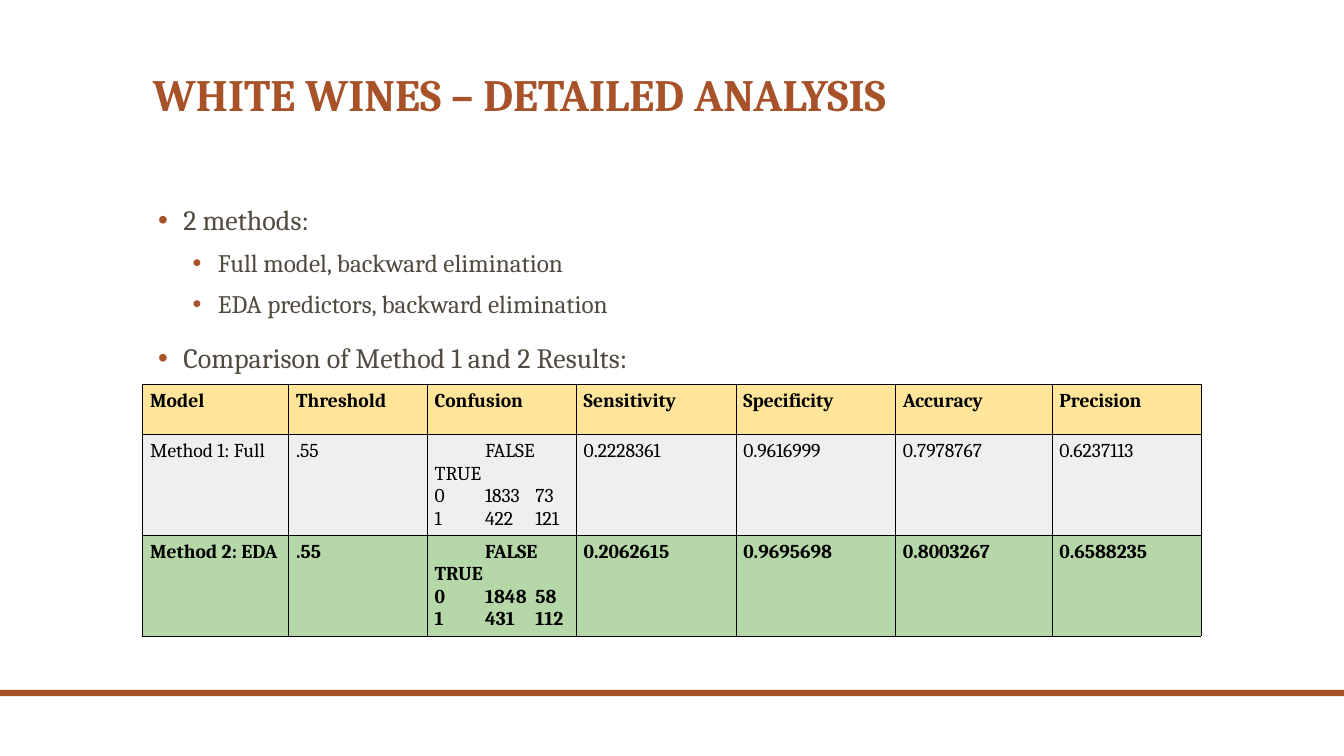
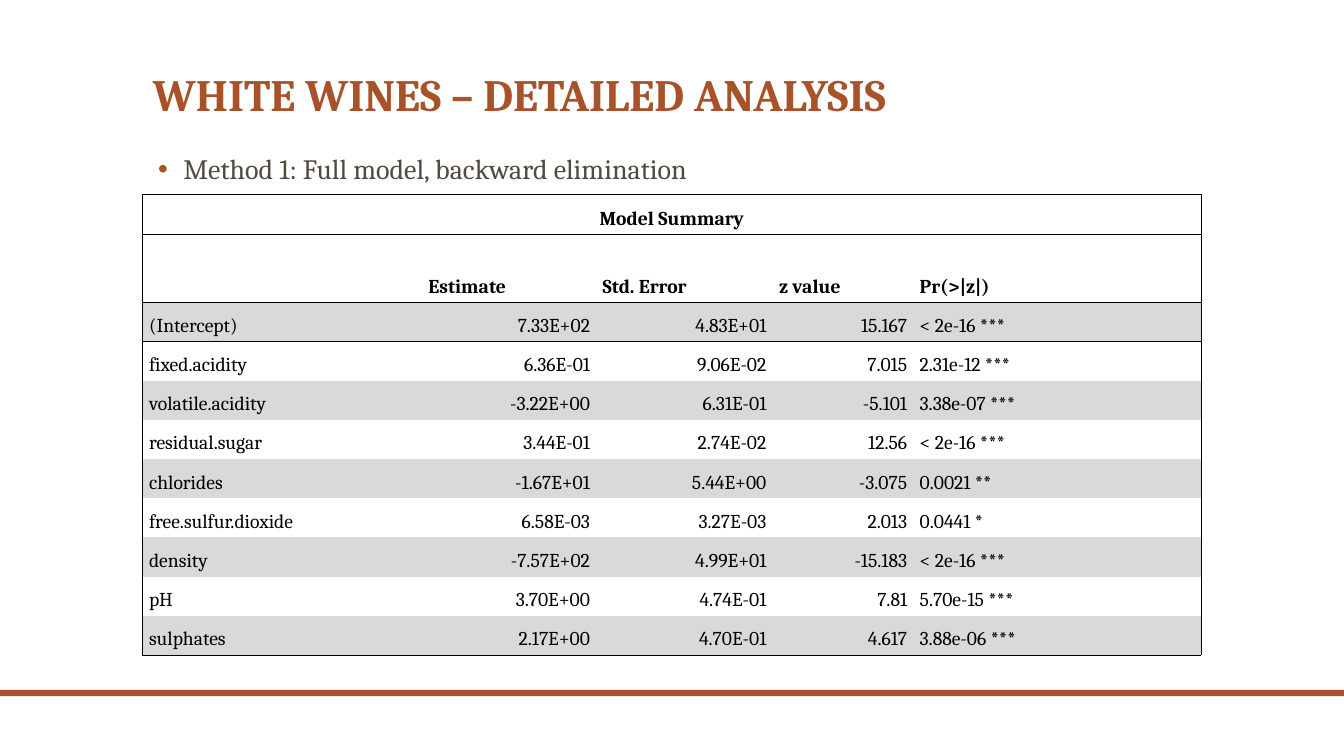
from pptx import Presentation
from pptx.dml.color import RGBColor
from pptx.enum.shapes import MSO_SHAPE
from pptx.enum.text import MSO_ANCHOR, MSO_AUTO_SIZE, PP_ALIGN
from pptx.oxml import parse_xml
from pptx.oxml.ns import nsdecls, qn
from pptx.util import Emu, Pt

FONT = "Cambria"
RUST, BROWN, BLACK = "A85229", "514A40", "000000"
YELLOW, PALE_GRAY, GREEN, GRAY = "FFE599", "EFEFEF", "B6D7A8", "D9D9D9"
NO_STYLE = "{2D5ABB26-0587-4C30-8999-92F81FD0307C}"

SLIDE_WIDTH, SLIDE_HEIGHT = 1280, 720
LEFT, WIDTH = 136, 1008
TITLE = "WHITE WINES – DETAILED ANALYSIS"

# Per bullet level: text size, indent, space before
LEVELS = [(20, 29, 18), (18, 62, 10)]
HANGING = 24

METHOD_BULLETS = [
    (0, "2 methods:"),
    (1, "Full model, backward elimination"),
    (1, "EDA predictors, backward elimination"),
    (0, "Comparison of Method 1 and 2 Results:"),
]
SUMMARY_BULLETS = [(0, "Method 1: Full model, backward elimination")]

COMPARISON = [
    ["Model", "Threshold", "Confusion", "Sensitivity", "Specificity", "Accuracy", "Precision"],
    ["Method 1: Full", ".55", "\tFALSE TRUE\n0\t1833\t73\n1\t422\t121",
     "0.2228361", "0.9616999", "0.7978767", "0.6237113"],
    ["Method 2: EDA", ".55", "\tFALSE TRUE\n0\t1848\t58\n1\t431\t112",
     "0.2062615", "0.9695698", "0.8003267", "0.6588235"],
]
COMPARISON_COLUMNS = [139, 132, 142, 152, 152, 149, 142]
COMPARISON_ROWS = [48, 94, 94]
COMPARISON_FILLS = [YELLOW, PALE_GRAY, GREEN]
CONFUSION_STOPS = [(17,), (22, 69), (20, 55)]

SUMMARY = [
    ["Model Summary", "", "", "", ""],
    ["", "Estimate", "Std. Error", "z value", "Pr(>|z|)"],
    ["(Intercept)", "7.33E+02", "4.83E+01", "15.167", "< 2e-16 ***"],
    ["fixed.acidity", "6.36E-01", "9.06E-02", "7.015", "2.31e-12 ***"],
    ["volatile.acidity", "-3.22E+00", "6.31E-01", "-5.101", "3.38e-07 ***"],
    ["residual.sugar", "3.44E-01", "2.74E-02", "12.56", "< 2e-16 ***"],
    ["chlorides", "-1.67E+01", "5.44E+00", "-3.075", "0.0021 **"],
    ["free.sulfur.dioxide", "6.58E-03", "3.27E-03", "2.013", "0.0441 *"],
    ["density", "-7.57E+02", "4.99E+01", "-15.183", "< 2e-16 ***"],
    ["pH", "3.70E+00", "4.74E-01", "7.81", "5.70e-15 ***"],
    ["sulphates", "2.17E+00", "4.70E-01", "4.617", "3.88e-06 ***"],
]
SUMMARY_COLUMNS = [258, 174, 168, 134, 274]
SUMMARY_HEADER_ROWS = [38, 65]
SUMMARY_BODY_HEIGHT = 336
ESTIMATE_INDENT = 8


def px(value):
    return Emu(round(value * 9525))


def color(value):
    return RGBColor.from_string(value)


def place(shape, left, top, width, height):
    shape.left, shape.top = px(left), px(top)
    shape.width, shape.height = px(width), px(height)


def write(paragraph, text, *, size=14, ink=BLACK, bold=False, align=PP_ALIGN.LEFT,
          line_spacing=1, space_before=0, indent=0, bullet=None, stops=()):
    properties = paragraph._p.get_or_add_pPr()
    properties.set("marL", str(px(indent)))
    properties.set("indent", str(px(-HANGING if bullet else 0)))
    if bullet:
        properties.append(parse_xml(
            f'<a:buClr {nsdecls("a")}><a:srgbClr val="{RUST}"/></a:buClr>'))
        properties.append(parse_xml(f'<a:buChar {nsdecls("a")} char="{bullet}"/>'))
    if stops:
        tabs = "".join(f'<a:tab pos="{px(stop)}" algn="l"/>' for stop in stops)
        properties.append(parse_xml(f'<a:tabLst {nsdecls("a")}>{tabs}</a:tabLst>'))
    paragraph.alignment = align
    paragraph.line_spacing = line_spacing
    paragraph.space_before = Pt(space_before)
    run = paragraph.add_run()
    run.text = text
    run.font.name, run.font.size, run.font.bold = FONT, Pt(size), bold
    run.font.color.rgb = color(ink)


def next_paragraph(frame, index):
    return frame.add_paragraph() if index else frame.paragraphs[0]


def add_content_slide(presentation, bullets, body_top, body_height):
    slide = presentation.slides.add_slide(presentation.slide_layouts[1])
    title, body = slide.placeholders
    place(title, LEFT, 0, WIDTH, 120)
    place(body, LEFT, body_top, WIDTH, body_height)
    for shape in (title, body):
        shape.text_frame.auto_size = MSO_AUTO_SIZE.NONE
    title.text_frame.vertical_anchor = MSO_ANCHOR.BOTTOM
    write(title.text_frame.paragraphs[0], TITLE, size=32, ink=RUST, bold=True, line_spacing=0.9)
    for index, (level, text) in enumerate(bullets):
        size, indent, space = LEVELS[level]
        paragraph = next_paragraph(body.text_frame, index)
        paragraph.level = level
        write(paragraph, text, size=size, ink=BROWN, line_spacing=0.9, indent=indent,
              space_before=space if index else 0, bullet="•")
    return slide


def add_plain_table(slide, top, columns, rows):
    table = slide.shapes.add_table(len(rows), len(columns), px(LEFT), px(top),
                                   px(sum(columns)), px(sum(rows))).table
    table._tbl.tblPr.find(qn("a:tableStyleId")).text = NO_STYLE
    table.first_row = table.horz_banding = False
    for column, width in zip(table.columns, columns):
        column.width = px(width)
    for row, height in zip(table.rows, rows):
        row.height = px(height)
    return table


def format_cell(cell, fill, sides, margins, anchor):
    """Set fill, insets, anchor and the borders named in sides, such as "LT"."""
    if fill:
        cell.fill.solid()
        cell.fill.fore_color.rgb = color(fill)
    else:
        cell.fill.background()
    cell.margin_left = cell.margin_right = px(margins[0])
    cell.margin_top = cell.margin_bottom = px(margins[1])
    cell.vertical_anchor = anchor
    properties = cell._tc.get_or_add_tcPr()
    for index, side in enumerate(side for side in "LRTB" if side in sides):
        properties.insert(index, parse_xml(
            f'<a:ln{side} {nsdecls("a")} w="{Pt(0.5)}"><a:solidFill>'
            f'<a:srgbClr val="{BLACK}"/></a:solidFill></a:ln{side}>'))


def add_comparison(slide):
    table = add_plain_table(slide, 366, COMPARISON_COLUMNS, COMPARISON_ROWS)
    for r, values in enumerate(COMPARISON):
        for c, value in enumerate(values):
            cell = table.cell(r, c)
            format_cell(cell, COMPARISON_FILLS[r], "LRTB", (7, 5), MSO_ANCHOR.TOP)
            for index, line in enumerate(value.split("\n")):
                write(next_paragraph(cell.text_frame, index), line, bold=r != 1,
                      stops=CONFUSION_STOPS[index] if "\t" in line else ())


def summary_sides(r, c):
    if r == 0:
        return "LRTB"
    last_row, last_column = len(SUMMARY) - 1, len(SUMMARY_COLUMNS) - 1
    edges = {"L": c == 0, "R": c == last_column, "T": r <= 2, "B": r in (1, last_row)}
    return "".join(side for side, drawn in edges.items() if drawn)


def add_summary(slide):
    header_count = len(SUMMARY_HEADER_ROWS)
    body_count = len(SUMMARY) - header_count
    rows = SUMMARY_HEADER_ROWS + [SUMMARY_BODY_HEIGHT / body_count] * body_count
    table = add_plain_table(slide, 185, SUMMARY_COLUMNS, rows)
    table.cell(0, 0).merge(table.cell(0, len(SUMMARY_COLUMNS) - 1))
    for r, values in enumerate(SUMMARY):
        header = r < header_count
        for c, value in enumerate(values):
            cell = table.cell(r, c)
            fill = GRAY if not header and r % 2 == 0 else None
            format_cell(cell, fill, summary_sides(r, c), (6, 4), MSO_ANCHOR.BOTTOM)
            if r == 0:
                align = PP_ALIGN.CENTER
            else:
                align = PP_ALIGN.RIGHT if not header and c in (1, 2, 3) else PP_ALIGN.LEFT
            if value:
                write(cell.text_frame.paragraphs[0], value, bold=header, align=align,
                      indent=ESTIMATE_INDENT if value == "Estimate" else 0)


def add_layout_band(slide):
    """Draw the bottom band and move it to the layout that all slides share."""
    band = slide.shapes.add_shape(MSO_SHAPE.RECTANGLE, 0, px(657), px(SLIDE_WIDTH), px(6))
    band.shadow.inherit = False
    band.fill.solid()
    band.fill.fore_color.rgb = color(RUST)
    band.line.fill.background()
    slide.slide_layout.shapes._spTree.append(band._element)


def main():
    presentation = Presentation()
    presentation.slide_width, presentation.slide_height = px(SLIDE_WIDTH), px(SLIDE_HEIGHT)
    methods = add_content_slide(presentation, METHOD_BULLETS, 192, 432)
    add_layout_band(methods)
    add_comparison(methods)
    summary = add_content_slide(presentation, SUMMARY_BULLETS, 143, 481)
    add_summary(summary)
    presentation.save("out.pptx")


if __name__ == "__main__":
    main()
